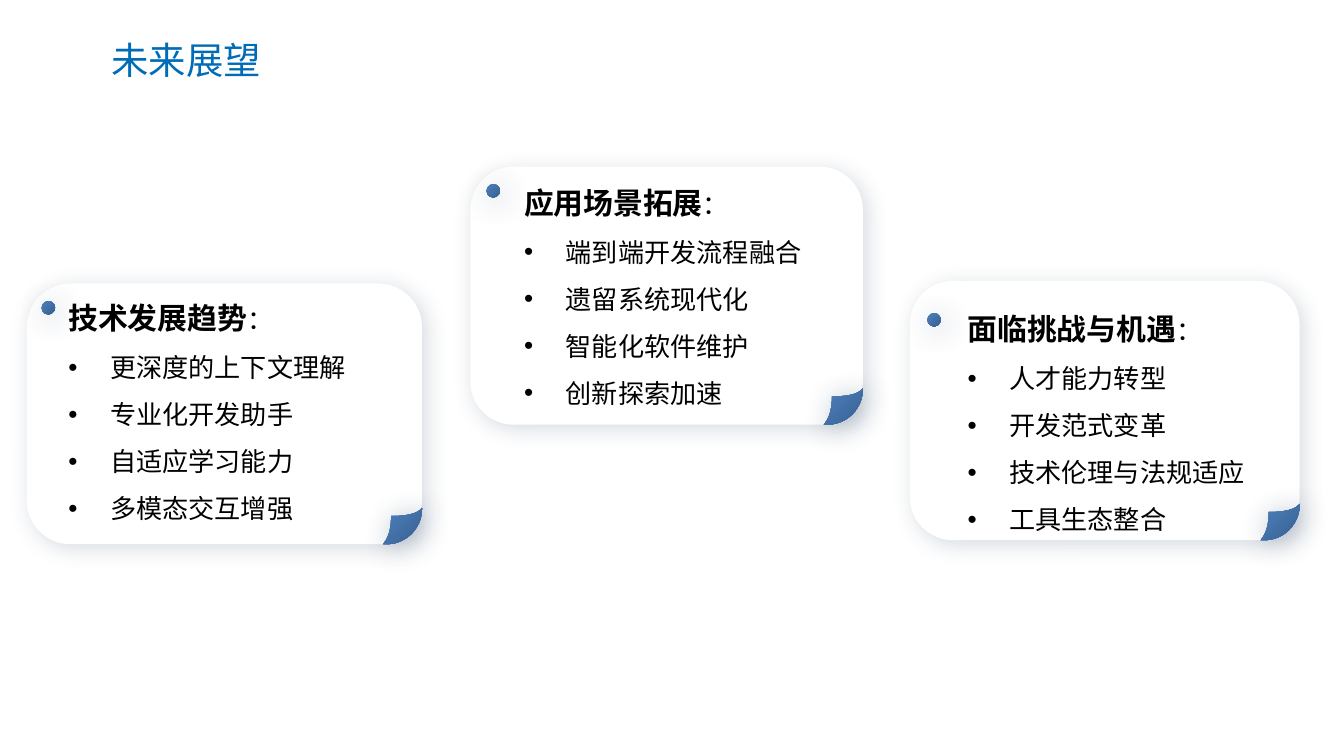
from lxml.etree import SubElement
from pptx import Presentation
from pptx.dml.color import RGBColor
from pptx.enum.shapes import MSO_SHAPE as Preset
from pptx.enum.text import MSO_AUTO_SIZE as AutoSize
from pptx.oxml.ns import qn
from pptx.util import Inches, Pt

COLORS = {
    "title": "006CB7",
    "text": "000000",
    "card": "FFFFFF",
    "accent_light": "4F81BD",
    "accent_dark": "376092",
    "shadow": "254061",
}
CARDS = [
    (0.2, 2.11, 2.94, 1.94, 0.31, 2.24, 0.51, 2.1, "技术发展趋势",
     ["更深度的上下文理解", "专业化开发助手", "自适应学习能力", "多模态交互增强"]),
    (3.5, 1.24, 2.92, 1.92, 3.62, 1.37, 3.9, 1.24, "应用场景拓展",
     ["端到端开发流程融合", "遗留系统现代化", "智能化软件维护", "创新探索加速"]),
    (6.77, 2.09, 2.9, 1.93, 6.9, 2.33, 7.2, 2.18, "面临挑战与机遇",
     ["人才能力转型", "开发范式变革", "技术伦理与法规适应", "工具生态整合"]),
]
CURL_CURVES = [
    [(0, -0.26), (0, -0.12), (-0.12, 0), (-0.26, 0)],
    [(-0.29, 0), (-0.25, -0.05), (-0.23, -0.11), (-0.23, -0.21)],
    [(-0.23, -0.21), (-0.14, -0.21), (-0.05, -0.22), (-0.01, -0.26)],
]
STEPS = 12


def style_shape(shape, blur, opacity, gradient=True):
    shape.line.fill.background()
    if gradient:
        shape.fill.gradient()
        shape.fill.gradient_angle = 315
        for stop, name in zip(shape.fill.gradient_stops, ("accent_light", "accent_dark")):
            stop.color.rgb = RGBColor.from_string(COLORS[name])
    else:
        shape.fill.solid()
        shape.fill.fore_color.rgb = RGBColor.from_string(COLORS["card"])
    shape.shadow.inherit = False
    effects = shape._element.spPr.find(qn("a:effectLst"))
    shadow = SubElement(effects, qn("a:outerShdw"), blurRad=str(Pt(blur)), dist=str(Pt(3)),
                        dir="2700000", algn="tl", rotWithShape="0")
    color = SubElement(shadow, qn("a:srgbClr"), val=COLORS["shadow"])
    SubElement(color, qn("a:alpha"), val=str(opacity * 1000))


def style_font(font, size, color, name, bold=False):
    font.size = Pt(size)
    font.bold = bold
    font.name = name
    font.color.rgb = RGBColor.from_string(COLORS[color])


presentation = Presentation()
presentation.slide_width = Inches(10)
presentation.slide_height = Inches(10 * 9 / 16)
slide = presentation.slides.add_slide(presentation.slide_layouts[6])

title = slide.shapes.add_textbox(Inches(0.73), Inches(0.23), Inches(1.31), Inches(0.44))
title.text_frame.word_wrap = False
title.text_frame.auto_size = AutoSize.SHAPE_TO_FIT_TEXT
title.text_frame.text = "未来展望"
style_font(title.text_frame.paragraphs[0].font, 20, "title", "Noto Sans CJK SC")

curl_offsets = [(0, -0.27)]
for start, control_1, control_2, end in CURL_CURVES:
    for step in range(STEPS + 1):
        t = step / STEPS
        curl_offsets.append(tuple(
            (1 - t) ** 3 * a + 3 * (1 - t) ** 2 * t * b + 3 * (1 - t) * t ** 2 * c + t ** 3 * d
            for a, b, c, d in zip(start, control_1, control_2, end)))

for left, top, width, height, dot_left, dot_top, text_left, text_top, heading, items in CARDS:
    card = slide.shapes.add_shape(Preset.ROUNDED_RECTANGLE, Inches(left), Inches(top),
                                  Inches(width), Inches(height))
    style_shape(card, 12, 19, gradient=False)

    points = [(Inches(left + width + x), Inches(top + height + y)) for x, y in curl_offsets]
    builder = slide.shapes.build_freeform(*points[0])
    builder.add_line_segments(points[1:], close=True)
    style_shape(builder.convert_to_shape(), 16, 40)

    dot = slide.shapes.add_shape(Preset.OVAL, Inches(dot_left), Inches(dot_top),
                                 Inches(0.1), Inches(0.1))
    style_shape(dot, 16, 40)

    box = slide.shapes.add_textbox(Inches(text_left), Inches(text_top), Inches(2.54), Inches(1.2))
    frame = box.text_frame
    frame.word_wrap = True
    frame.margin_left = frame.margin_top = frame.margin_right = frame.margin_bottom = 0
    paragraph = frame.paragraphs[0]
    paragraph.line_spacing = 1.5
    for text, size, bold in ((heading, 16, True), ("：", 14, False)):
        run = paragraph.add_run()
        run.text = text
        style_font(run.font, size, "text", "Arial", bold)
    for item in items:
        paragraph = frame.add_paragraph()
        paragraph.text = item
        paragraph.line_spacing = 1.5
        properties = paragraph._p.get_or_add_pPr()
        properties.set("marL", str(Inches(0.31)))
        properties.set("indent", str(-Inches(0.31)))
        SubElement(properties, qn("a:buFont"), typeface="Arial")
        SubElement(properties, qn("a:buChar"), char="•")
        style_font(paragraph.font, 14, "text", "Arial")

presentation.save("out.pptx")
